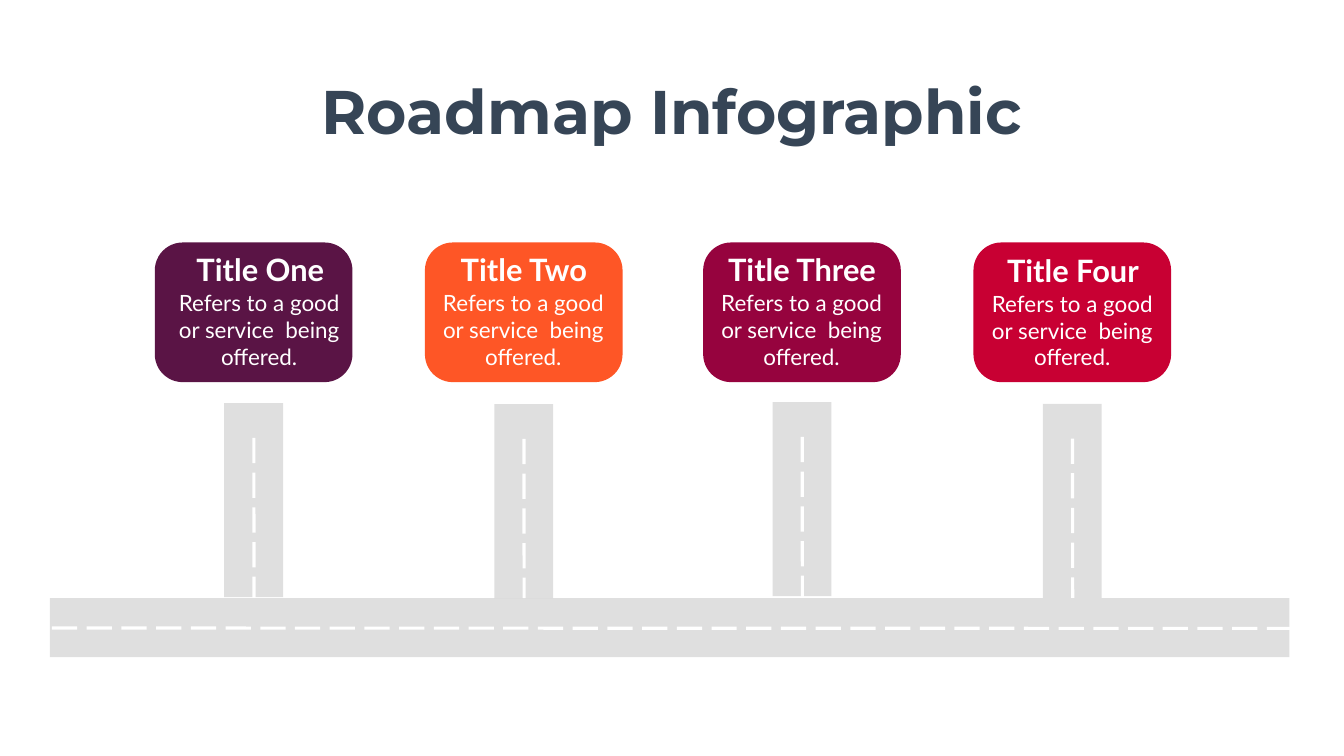
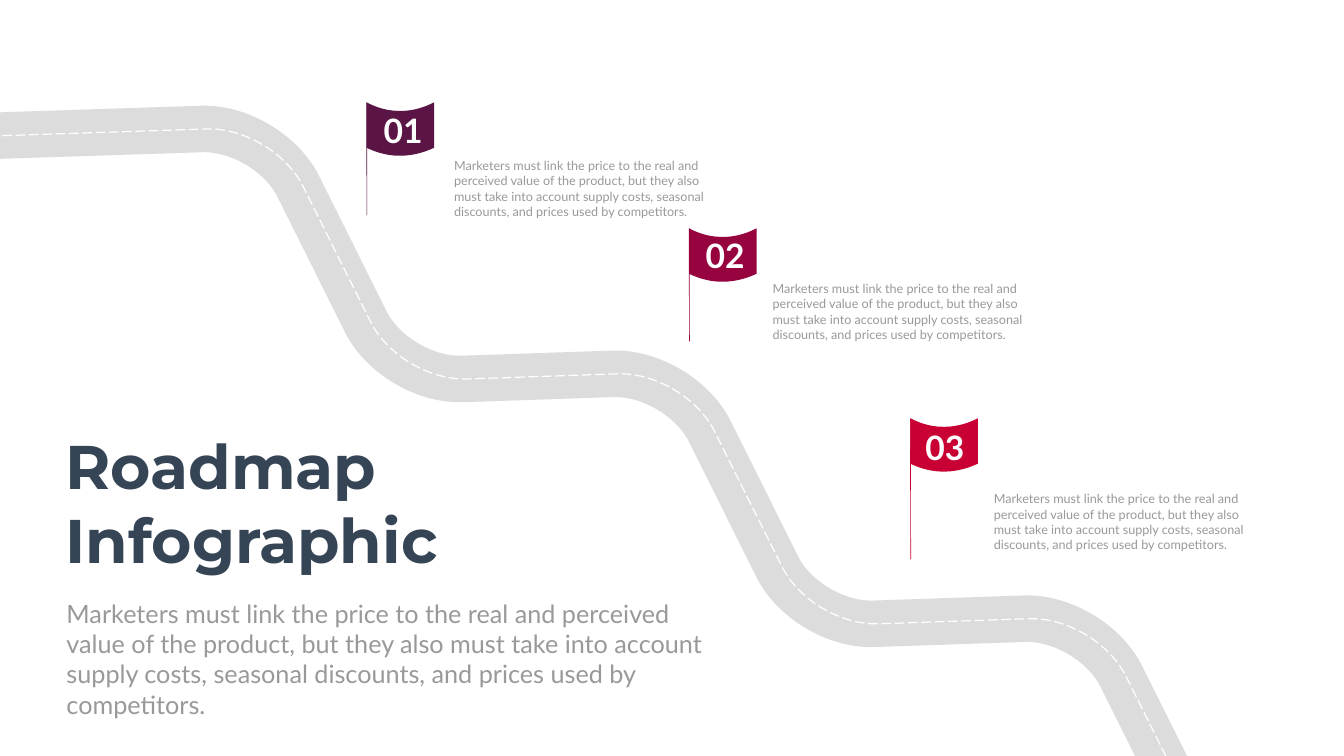
from lxml import etree
from pptx import Presentation
from pptx.dml.color import RGBColor
from pptx.enum.dml import MSO_LINE
from pptx.enum.shapes import MSO_CONNECTOR, MSO_SHAPE
from pptx.enum.text import MSO_ANCHOR, MSO_AUTO_SIZE, PP_ALIGN
from pptx.oxml.ns import qn
from pptx.util import Cm, Pt

LONG_DASH = MSO_LINE.LONG_DASH
STRAIGHT = MSO_CONNECTOR.STRAIGHT
RECTANGLE = MSO_SHAPE.RECTANGLE
ROUNDED = MSO_SHAPE.ROUNDED_RECTANGLE
TOP = MSO_ANCHOR.TOP
FIT_SHAPE = MSO_AUTO_SIZE.SHAPE_TO_FIT_TEXT
LEFT, CENTER = PP_ALIGN.LEFT, PP_ALIGN.CENTER

COLORS = {
    "title": "364556",
    "body": "999999",
    "white": "FFFFFF",
    "asphalt": "808080",
    "curved road": "797979",
    "purple": "5A1445",
    "orange": "FE5626",
    "wine": "96033E",
    "red": "C80033",
}
RGB = {name: RGBColor.from_string(value) for name, value in COLORS.items()}
TITLE_STYLE = {"size": 88, "color": "title", "font": "Montserrat", "bold": True, "wrap": False}
MARKETING = ("Marketers must link the price to the real and perceived value of the "
             "product, but they also must take into account supply costs, seasonal "
             "discounts, and prices used by competitors.")
SERVICE = "Refers to a good or service  being offered."


def write_text(box, place, lines, size, color, font="Lato", bold=False, wrap=True, align=LEFT):
    """Place a box (left, top, width, height in cm) and fill it with lines."""
    box.left, box.top, box.width, box.height = [Cm(length) for length in place]
    frame = box.text_frame
    frame.word_wrap = wrap
    frame.auto_size = FIT_SHAPE
    frame.vertical_anchor = TOP
    for number, line in enumerate(lines):
        para = frame.add_paragraph() if number else frame.paragraphs[0]
        para.alignment = align
        span = para.add_run()
        span.text = line
        span.font.name = font
        span.font.size = Pt(size)
        span.font.bold = bold
        span.font.color.rgb = RGB[color]


def draw_line(page, start, end, color, width, dash=None):
    """Draw a straight line between two points in cm."""
    line = page.shapes.add_connector(STRAIGHT, *[Cm(length) for length in start + end])
    line.line.color.rgb = RGB[color]
    line.line.width = Pt(width)
    if dash:
        line.line.dash_style = dash
    etree.SubElement(line._element.spPr, qn("a:effectLst"))


deck = Presentation()
deck.slide_width, deck.slide_height = Cm(67.72), Cm(38.1)
title_only = deck.slide_layouts[5]

# Slide 1: four side roads leading to cards
page = deck.slides.add_slide(title_only)
write_text(page.shapes.title, (15.93, 3.56, 35.84, 4.01), ["Roadmap Infographic"],
           align=CENTER, **TITLE_STYLE)

CARD_WIDTH, CARD_HEIGHT, CARD_TOP = 9.96, 7.04, 12.22
ROAD_WIDTH = 2.97
cards = [  # heading, color, card left, heading left and width, text left, road top, text drop
    ("Title One", "purple", 7.8, 9.6, 7.04, 8.74, 20.32, 0),
    ("Title Two", "orange", 21.41, 22.83, 7.14, 22.05, 20.37, 0),
    ("Title Three", "wine", 35.43, 36.35, 8.13, 36.07, 20.27, 0),
    ("Title Four", "red", 49.05, 50.42, 7.29, 49.71, 20.35, 0.03),
]

# Roads with their lane markings, the main road last
roads = []  # place, marking start, marking end
for heading, color, left, heading_left, heading_width, text_left, road_top, drop in cards:
    middle = left + CARD_WIDTH / 2
    roads.append(((middle - ROAD_WIDTH / 2, road_top, ROAD_WIDTH, 9.78),
                  (middle + 0.01, road_top + 1.75), (middle + 0.02, road_top + 10.56)))
roads.append(((2.51, 30.15, 62.46, ROAD_WIDTH), (2.62, 31.65), (65.2, 31.67)))
for place, start, end in roads:
    road = page.shapes.add_shape(RECTANGLE, *[Cm(length) for length in place])
    road.shadow.inherit = False
    road.fill.solid()
    road.fill.fore_color.rgb = RGB["asphalt"]
    road.line.fill.background()
    paint = road._element.spPr.find(".//" + qn("a:srgbClr"))
    etree.SubElement(paint, qn("a:alpha"), val="25000")
    draw_line(page, start, end, "white", 4.5, LONG_DASH)

# Cards
for heading, color, left, heading_left, heading_width, text_left, road_top, drop in cards:
    card = page.shapes.add_shape(ROUNDED, Cm(left), Cm(CARD_TOP), Cm(CARD_WIDTH), Cm(CARD_HEIGHT))
    card.adjustments[0] = 0.2
    card.shadow.inherit = False
    card.fill.solid()
    card.fill.fore_color.rgb = RGB[color]
    card.line.fill.background()
    write_text(page.shapes.add_textbox(0, 0, 0, 0),
               (heading_left, 12.52 + drop, heading_width, 2.13), [heading],
               44, "white", bold=True, wrap=False, align=CENTER)
    write_text(page.shapes.add_textbox(0, 0, 0, 0),
               (text_left, 14.45 + drop, 8.64, 4.37), [SERVICE], 32, "white", align=CENTER)

# Slide 2: winding road with flags
page = deck.slides.add_slide(title_only)
write_text(page.shapes.title, (3.05, 21.44, 19.25, 7.77), ["Roadmap", "Infographic"],
           **TITLE_STYLE)

# A route is a start and segments: one point is a line, three points are a curve
STEP_X, STEP_Y = 20.73, 12.34
step_segments = [
    [(0, 0)],
    [(1.88, -0.05), (3.99, 1.22), (4.83, 2.87)],
    [(8.25, 9.73)],
    [(9.09, 11.4), (11.2, 12.65), (13.08, 12.6)],
]
road_route = [[(-0.79, 6.86)]]
for step, count in enumerate((4, 4, 2)):
    road_route += [[(10.19 + step * STEP_X + x, 6.5 + step * STEP_Y + y) for x, y in segment]
                   for segment in step_segments[:count]]
road_route.append([(61.39, 43.89)])
flag_route = [
    [(0, 0)],
    [(0.3, 0.15), (0.87, 0.43), (1.63, 0.43)],
    [(2.48, 0.45), (3.1, 0.15), (3.4, 0)],
    [(3.4, 2.29)],
    [(3.07, 2.44), (2.46, 2.69), (1.68, 2.69)],
    [(0.91, 2.69), (0.33, 2.44), (0, 2.29)],
]
flags = [  # number, color, flag left and top, pole, number left and top, text left and top
    ("01", "purple", 18.47, 5.16, 5.69, 19.08, 5.44, 22.63, 7.85),
    ("02", "wine", 34.72, 11.51, 5.69, 35.31, 11.73, 38.68, 14.05),
    ("03", "red", 45.87, 21.08, 7.11, 46.38, 21.39, 49.83, 24.64),
]

# Road, its marking and the flags on their poles
outlines = [  # route, left, top, color, line width, pole
    (road_route, 0, 0, "curved road", 66.44, 0),
    (road_route, 0.24, 0, "white", 1.73, 0),
]
outlines += [(flag_route, left, top, color, 0, pole)
             for number, color, left, top, pole, *text_places in flags]
for route, left, top, color, width, pole in outlines:
    if pole:
        draw_line(page, (left, top), (left + 0.02, top + pole), color, 0.88)
    points = [(Cm(left + x), Cm(top + y)) for segment in route for x, y in segment]
    builder = page.shapes.build_freeform(*points[0])
    builder.add_line_segments(points[1:], close=pole > 0)
    outline = builder.convert_to_shape()
    outline.shadow.inherit = False

    # Join each group of three points into one curve
    lines = iter(list(outline._element.iter(qn("a:lnTo"))))
    for segment in route[1:]:
        first, *others = [next(lines) for point in segment]
        if others:
            first.tag = qn("a:cubicBezTo")
            for other in others:
                first.append(other[0])
                other.getparent().remove(other)

    if pole:
        outline.fill.solid()
        outline.fill.fore_color.rgb = RGB[color]
        outline.line.fill.background()
        continue
    outline.fill.background()
    outline.line.color.rgb = RGB[color]
    outline.line.width = Pt(width)
    if color == "white":
        outline.line.dash_style = LONG_DASH
    else:
        paint = outline._element.spPr.find(".//" + qn("a:srgbClr"))
        etree.SubElement(paint, qn("a:alpha"), val="25000")

# Flag numbers and texts
for number, color, left, top, pole, number_left, number_top, text_left, text_top in flags:
    write_text(page.shapes.add_textbox(0, 0, 0, 0), (number_left, number_top, 2.49, 2.31),
               [number], 48, "white", bold=True, wrap=False)
    write_text(page.shapes.add_textbox(0, 0, 0, 0), (text_left, text_top, 13.23, 3.33),
               [MARKETING], 18, "body")
write_text(page.shapes.add_textbox(0, 0, 0, 0), (3.1, 30.02, 33.73, 4.88),
           [MARKETING], 36, "body")

deck.save("out.pptx")
